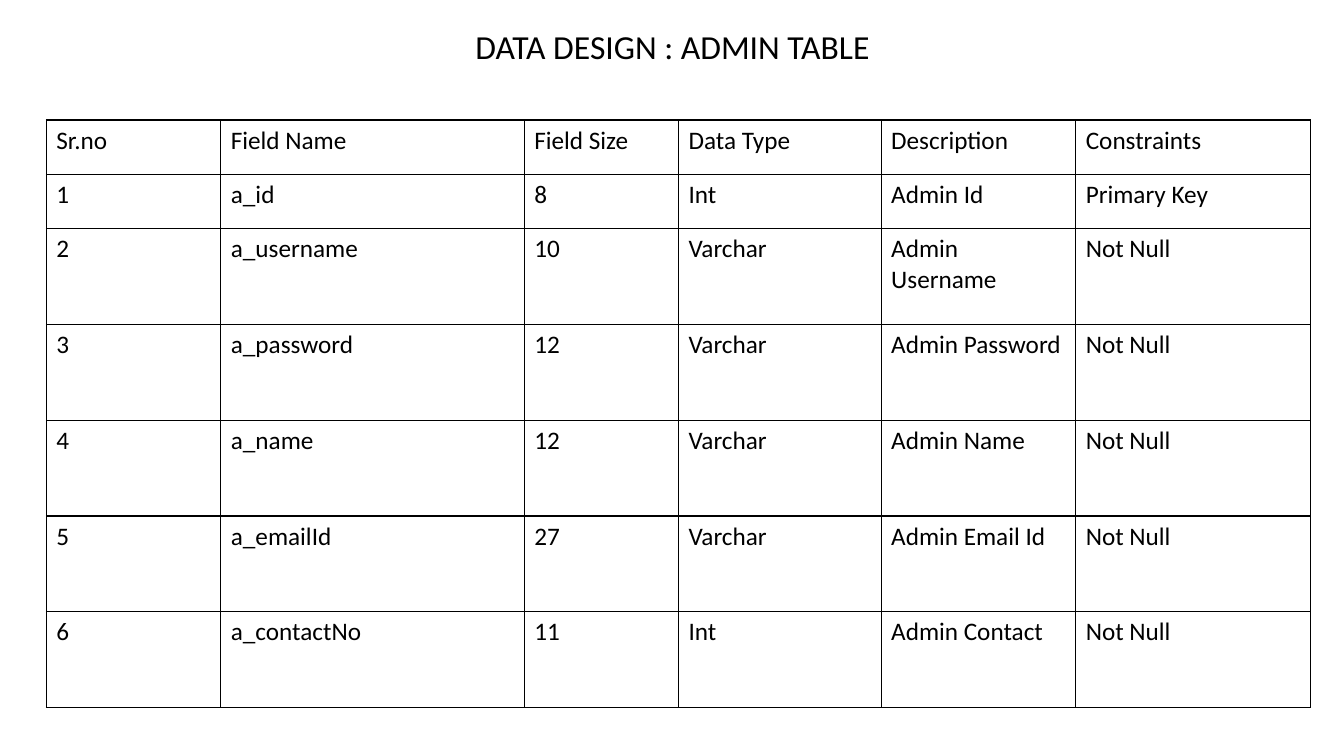
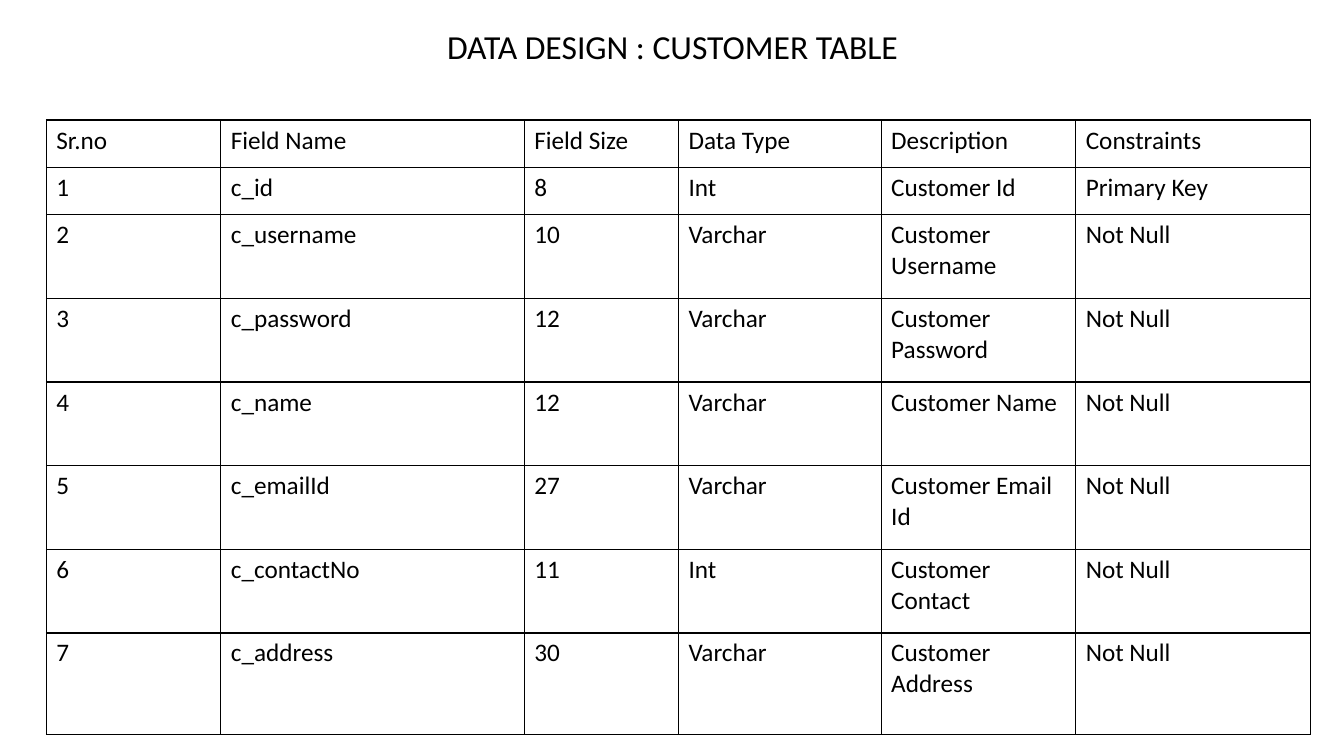
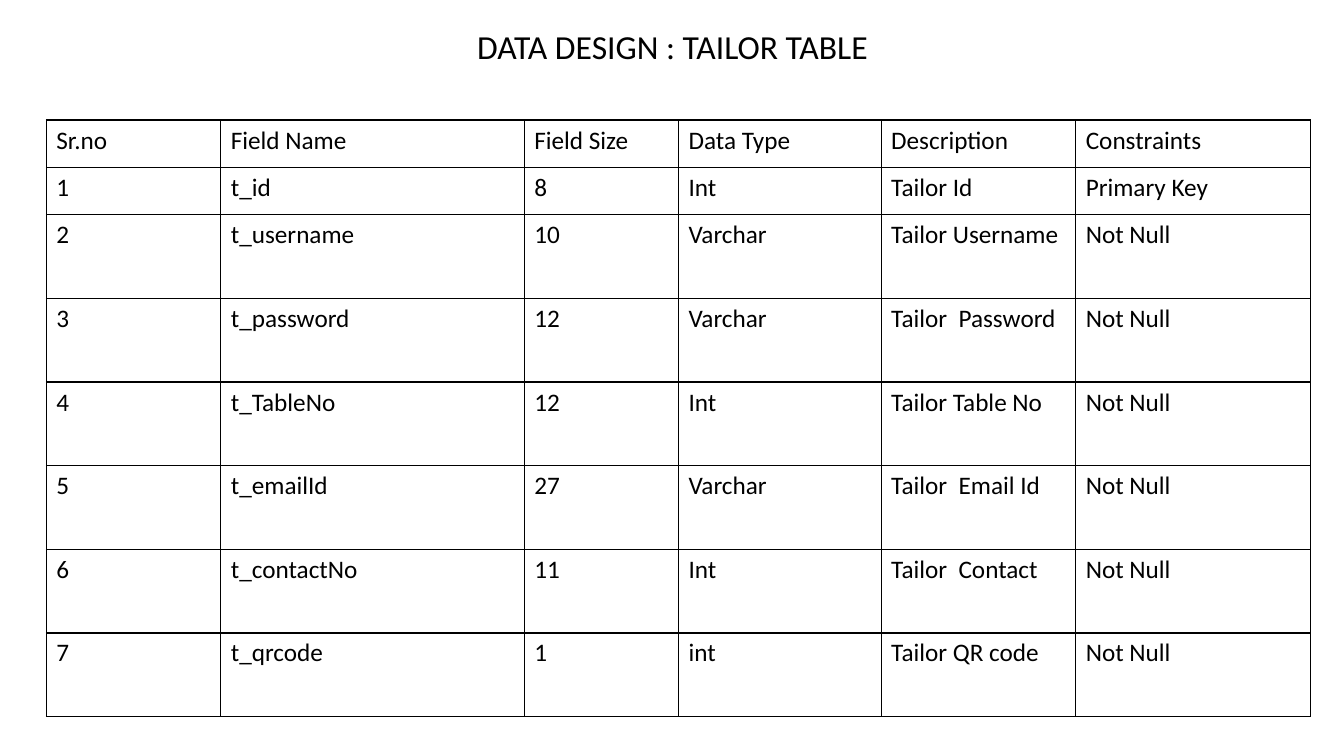
from dataclasses import dataclass

from lxml import etree
from pptx import Presentation
from pptx.dml.color import RGBColor
from pptx.enum.text import MSO_ANCHOR, PP_ALIGN
from pptx.oxml.ns import qn
from pptx.util import Inches, Pt

CENTER = PP_ALIGN.CENTER
LEFT = PP_ALIGN.LEFT
TOP = MSO_ANCHOR.TOP


@dataclass(frozen=True)
class Theme:
    font: str = "Calibri"
    ink: str = "000000"
    paper: str = "FFFFFF"
    title_size: int = 24
    cell_size: int = 18
    border_width: int = 1


HEADINGS = ["Sr.no", "Field Name", "Field Size", "Data Type", "Description", "Constraints"]
COLUMN_WIDTHS = [1.73, 3.01, 1.53, 2.01, 1.93, 2.33]
BORDER_SIDES = ["a:lnL", "a:lnR", "a:lnT", "a:lnB"]

ADMIN_FIELDS = [
    ("id", "8", "Int", "Admin Id"),
    ("username", "10", "Varchar", "Admin Username"),
    ("password", "12", "Varchar", "Admin Password"),
    ("name", "12", "Varchar", "Admin Name"),
    ("emailId", "27", "Varchar", "Admin Email Id"),
    ("contactNo", "11", "Int", "Admin Contact"),
]
CUSTOMER_FIELDS = [
    ("id", "8", "Int", "Customer Id"),
    ("username", "10", "Varchar", "Customer Username"),
    ("password", "12", "Varchar", "Customer Password"),
    ("name", "12", "Varchar", "Customer Name"),
    ("emailId", "27", "Varchar", "Customer Email Id"),
    ("contactNo", "11", "Int", "Customer Contact"),
    ("address", "30", "Varchar", "Customer Address"),
]
TAILOR_FIELDS = [
    ("id", "8", "Int", "Tailor Id"),
    ("username", "10", "Varchar", "Tailor Username"),
    ("password", "12", "Varchar", "Tailor  Password"),
    ("TableNo", "12", "Int", "Tailor Table No"),
    ("emailId", "27", "Varchar", "Tailor  Email Id"),
    ("contactNo", "11", "Int", "Tailor  Contact"),
    ("qrcode", "1", "int", "Tailor QR code"),
]


def design_rows(prefix, fields):
    rows = [HEADINGS]
    for number, (name, size, data_type, description) in enumerate(fields, 1):
        constraint = "Primary Key" if number == 1 else "Not Null"
        rows.append([str(number), f"{prefix}_{name}", size, data_type, description, constraint])
    return rows


def row_heights(rows, short, tall, last):
    return [short] * 2 + [tall] * (len(rows) - 3) + [last]


class Deck:
    def __init__(self, theme):
        self.theme = theme
        self.presentation = Presentation()
        self.presentation.slide_width = Inches(13.33)
        self.presentation.slide_height = Inches(7.5)
        self.slide = None

    def new_slide(self):
        self.slide = self.presentation.slides.add_slide(self.presentation.slide_layouts[6])
        background = self.slide.background.fill
        background.solid()
        background.fore_color.rgb = RGBColor.from_string(self.theme.paper)

    def add_text(self, paragraph, text, size, alignment):
        paragraph.alignment = alignment
        run = paragraph.add_run()
        run.text = text
        run.font.name = self.theme.font
        run.font.size = Pt(size)
        run.font.bold = False
        run.font.color.rgb = RGBColor.from_string(self.theme.ink)

    def title(self, text):
        heading = self.slide.shapes.add_textbox(Inches(1.67), Inches(0.25), Inches(10), Inches(0.63))
        frame = heading.text_frame
        frame.word_wrap = True
        frame.vertical_anchor = TOP
        paragraph = frame.paragraphs[0]
        paragraph.line_spacing = 0.9
        paragraph.space_before = Pt(10)
        self.add_text(paragraph, text, self.theme.title_size, CENTER)

    def border(self, cell):
        properties = cell._tc.get_or_add_tcPr()
        for side in BORDER_SIDES:
            line = etree.SubElement(properties, qn(side), w=str(Pt(self.theme.border_width)))
            fill = etree.SubElement(line, qn("a:solidFill"))
            etree.SubElement(fill, qn("a:srgbClr"), val=self.theme.ink)

    def table(self, rows, heights):
        frame = self.slide.shapes.add_table(
            len(rows), len(COLUMN_WIDTHS), Inches(0.46), Inches(1.19),
            Inches(sum(COLUMN_WIDTHS)), Inches(sum(heights)))
        grid = frame.table
        grid.first_row = False
        grid.horz_banding = False
        for column, width in zip(grid.columns, COLUMN_WIDTHS):
            column.width = Inches(width)
        for row, height, values in zip(grid.rows, heights, rows):
            row.height = Inches(height)
            for cell, value in zip(row.cells, values):
                self.border(cell)
                cell.fill.background()
                self.add_text(cell.text_frame.paragraphs[0], value, self.theme.cell_size, LEFT)

    def save(self):
        self.presentation.save("out.pptx")


def main():
    deck = Deck(Theme())
    designs = [
        ("ADMIN", "a", ADMIN_FIELDS, (0.54, 0.95, 0.95)),
        ("CUSTOMER", "c", CUSTOMER_FIELDS, (0.47, 0.83, 1.01)),
        ("TAILOR", "t", TAILOR_FIELDS, (0.47, 0.83, 0.83)),
    ]
    for entity, prefix, fields, heights in designs:
        rows = design_rows(prefix, fields)
        deck.new_slide()
        deck.title(f"DATA DESIGN : {entity} TABLE")
        deck.table(rows, row_heights(rows, *heights))
    deck.save()


if __name__ == "__main__":
    main()
